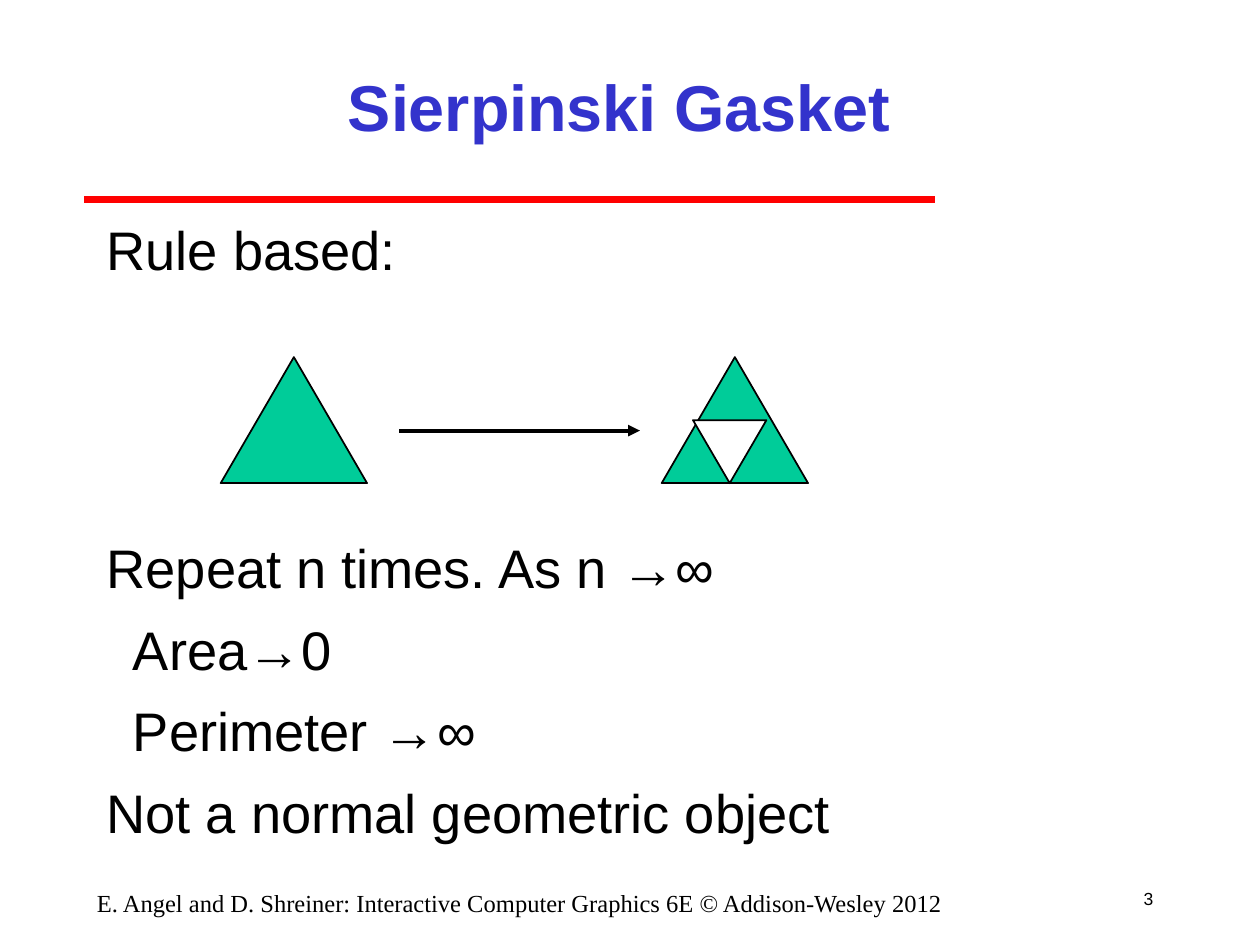
"""Build the Sierpinski Gasket slide."""
from dataclasses import dataclass

from lxml.etree import SubElement
from pptx import Presentation
from pptx.dml.color import RGBColor as RGB
from pptx.enum.shapes import MSO_CONNECTOR as CONN, MSO_SHAPE as SHAPE
from pptx.enum.text import MSO_ANCHOR as ANCHOR, PP_ALIGN as ALIGN
from pptx.oxml.ns import qn
from pptx.util import Cm, Pt


@dataclass(frozen=True)
class Theme:
    ink: RGB = RGB(0, 0, 0)
    paper: RGB = RGB(255, 255, 255)
    title: RGB = RGB(0x33, 0x33, 0xCC)
    rule: RGB = RGB(255, 0, 0)
    gasket: RGB = RGB(0, 0xCC, 0x99)
    sans: str = "Arial"
    serif: str = "Times New Roman"
    title_size: Pt = Pt(37)
    body_size: Pt = Pt(31)
    footer_size: Pt = Pt(14)
    number_size: Pt = Pt(10)


def write(p, text, color, **font):
    r = p.add_run()
    r.text = text
    for name, value in font.items():
        setattr(r.font, name, value)
    r.font.color.rgb = color


def add_line(s, x1, x2, y, color, width):
    line = s.shapes.add_connector(CONN.STRAIGHT, Cm(x1), Cm(y), Cm(x2), Cm(y))
    line.line.color.rgb = color
    line.line.width = Pt(width)
    SubElement(line._element.spPr, qn("a:effectLst"))
    return line


theme = Theme()
prs = Presentation()
prs.slide_width, prs.slide_height = Cm(25.4), Cm(19.05)
s = prs.slides.add_slide(prs.slide_layouts[5])

add_line(s, 1.7, 18.85, 4.02, theme.rule, 4)

title = s.shapes.title
box = {"left": Cm(3.81), "top": Cm(0.64), "width": Cm(17.35), "height": Cm(2.96)}
for name, value in box.items():
    setattr(title, name, value)
tf = title.text_frame
tf.vertical_anchor = ANCHOR.MIDDLE
p = tf.paragraphs[0]
p.alignment = ALIGN.CENTER
write(p, "Sierpinski Gasket", theme.title, name=theme.sans, size=theme.title_size, bold=True)

small_texts = [
    ("3", (22.43, 17.58, 1.07, 1.07), ALIGN.RIGHT, ANCHOR.MIDDLE, theme.sans, theme.number_size),
    ("E. Angel and D. Shreiner: Interactive Computer Graphics 6E © Addison-Wesley 2012",
     (1.27, 17.78, 18.42, 0.64), ALIGN.CENTER, ANCHOR.TOP, theme.serif, theme.footer_size),
]
for text, place, align, anchor, font, size in small_texts:
    tf = s.shapes.add_textbox(*map(Cm, place)).text_frame
    tf.word_wrap, tf.vertical_anchor = True, anchor
    p = tf.paragraphs[0]
    p.alignment = align
    write(p, text, theme.ink, name=font, size=size)

body = [
    ("Rule based:", 0, 0),
    ("Repeat n times. As n →∞", 0, 144.5),
    ("Area→0", 0.53, 9.4),
    ("Perimeter →∞", 0.53, 9.4),
    ("Not a normal geometric object", 0, 9.4),
]
tf = s.shapes.add_textbox(Cm(1.9), Cm(4.24), Cm(21.59), Cm(13.13)).text_frame
tf.word_wrap = True
for i, (text, indent, gap) in enumerate(body):
    p = tf.add_paragraph() if i else tf.paragraphs[0]
    p.space_before = Pt(gap)
    p._p.get_or_add_pPr().set("marL", str(Cm(indent)))
    write(p, text, theme.ink, name=theme.sans, size=theme.body_size)

triangles = [
    ((4.45, 7.2, 2.95, 2.54), 0, theme.gasket),
    ((13.34, 7.2, 2.95, 2.54), 0, theme.gasket),
    ((13.97, 8.47, 1.48, 1.27), 180, theme.paper),
]
for place, rotation, color in triangles:
    sp = s.shapes.add_shape(SHAPE.ISOSCELES_TRIANGLE, *map(Cm, place))
    sp.rotation = rotation
    sp.shadow.inherit = False
    sp.fill.solid()
    sp.fill.fore_color.rgb = color
    sp.line.color.rgb = theme.ink
    sp.line.width = Pt(1)

arrow = add_line(s, 8.05, 12.9, 8.68, theme.ink, 2.25)
SubElement(arrow.line._get_or_add_ln(), qn("a:tailEnd"), type="triangle")

prs.save("out.pptx")
